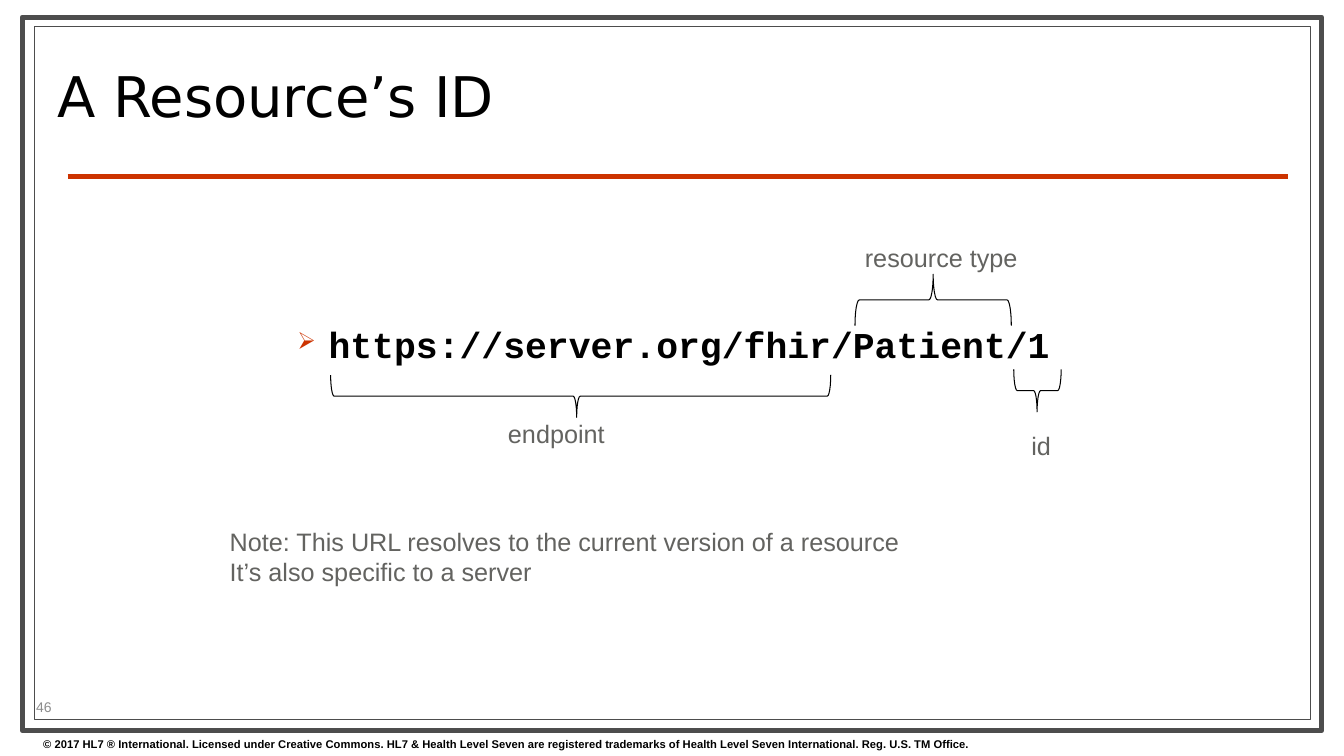
from lxml import etree
from pptx import Presentation
from pptx.dml.color import RGBColor
from pptx.enum.shapes import MSO_CONNECTOR, MSO_SHAPE
from pptx.enum.text import MSO_ANCHOR
from pptx.oxml.ns import qn
from pptx.util import Inches, Pt

RECT = MSO_SHAPE.RECTANGLE
BRACE = MSO_SHAPE.LEFT_BRACE
STRAIGHT = MSO_CONNECTOR.STRAIGHT
TOP, MIDDLE = MSO_ANCHOR.TOP, MSO_ANCHOR.MIDDLE

BLACK, WHITE, FRAME = "000000", "FFFFFF", "4D4D4D"
RED, LABEL, NUMBER = "CC3300", "636360", "8C8C8C"


def color(hex_value):
    return RGBColor.from_string(hex_value)


def add_outline(s, kind, box, line, width, fill=None):
    sp = s.shapes.add_shape(kind, *map(Inches, box))
    sp.shadow.inherit = False
    if fill:
        sp.fill.solid()
        sp.fill.fore_color.rgb = color(fill)
    else:
        sp.fill.background()
    sp.line.color.rgb = color(line)
    sp.line.width = Pt(width)
    return sp


def add_brace(s, box, rotation, tip):
    sp = add_outline(s, BRACE, box, BLACK, 0.75)
    sp.rotation = rotation
    sp.adjustments[0] = 0.083
    sp.adjustments[1] = tip


def add_rule(s, x1, x2, y):
    sp = s.shapes.add_connector(STRAIGHT, *map(Inches, (x1, y, x2, y)))
    sp.line.color.rgb = color(RED)
    sp.line.width = Pt(3)
    etree.SubElement(sp._element.spPr, qn("a:effectLst"))


def add_text(s, box, lines, size=18, hex_value=LABEL, font="Arial",
             bold=False, anchor=TOP, wrap=True):
    sp = s.shapes.add_textbox(*map(Inches, box))
    tf = sp.text_frame
    tf.word_wrap = wrap
    tf.vertical_anchor = anchor
    for i, line in enumerate(lines):
        p = tf.paragraphs[0] if i == 0 else tf.add_paragraph()
        r = p.add_run()
        r.text = line
        r.font.name = font
        r.font.size = Pt(size)
        r.font.bold = bold
        r.font.color.rgb = color(hex_value)
    return tf.paragraphs[0]


def add_bullet(p, char, hex_value, percent, left, hanging):
    pPr = p._p.get_or_add_pPr()
    pPr.set("marL", str(Inches(left)))
    pPr.set("indent", str(-Inches(hanging)))
    bu_clr = etree.SubElement(pPr, qn("a:buClr"))
    etree.SubElement(bu_clr, qn("a:srgbClr"), val=hex_value)
    etree.SubElement(pPr, qn("a:buSzPct"), val=str(percent * 1000))
    etree.SubElement(pPr, qn("a:buChar"), char=char)


def main():
    prs = Presentation()
    prs.slide_width, prs.slide_height = Inches(13.33), Inches(7.5)
    s = prs.slides.add_slide(prs.slide_layouts[6])

    # Double frame, rule and copyright line
    add_outline(s, RECT, (0.22, 0.17, 12.89, 7.08), FRAME, 3.5, WHITE)
    add_outline(s, RECT, (0.34, 0.26, 12.66, 6.88), FRAME, 0.75, WHITE)
    add_rule(s, 0.67, 12.77, 1.75)
    add_text(s, (0.33, 7.27, 12.9, 0.23),
             ["© 2017 HL7 ® International. Licensed under Creative Commons. "
              "HL7 & Health Level Seven are registered trademarks of "
              "Health Level Seven International. Reg. U.S. TM Office."],
             8, BLACK, bold=True)

    # Title
    p = add_text(s, (0.47, 0.36, 9.55, 1.29), ["A Resource’s ID"],
                 40, BLACK, "DejaVu Sans", anchor=MIDDLE)
    p.line_spacing = 0.8

    # Resource address
    p = add_text(s, (2.35, 3.16, 8.72, 0.5),
                 ["https://server.org/fhir/Patient/1"],
                 26, BLACK, "Courier New", bold=True, anchor=MIDDLE)
    add_bullet(p, "➢", RED, 65, 0.81, 0.31)

    # Braces and labels for the parts of the address
    add_brace(s, (5.55, 1.45, 0.42, 4.96), 270, 0.492)
    add_text(s, (4.94, 4.1, 1.17, 0.4), ["endpoint"], wrap=False)
    add_brace(s, (9, 2.2, 0.51, 1.55), 90, 0.5)
    add_text(s, (8.48, 2.35, 1.73, 0.4), ["resource type"], wrap=False)
    add_brace(s, (10.08, 3.64, 0.42, 0.47), 270, 0.492)
    add_text(s, (10.13, 4.22, 0.55, 0.4), ["id"])

    # Note and slide number
    add_text(s, (2.18, 5.17, 6.91, 0.71),
             ["Note: This URL resolves to the current version of a resource",
              "It’s also specific to a server"], wrap=False)
    add_text(s, (0.26, 6.89, 1.05, 0.24), ["46"], 10, NUMBER, anchor=MIDDLE)

    prs.save("out.pptx")


if __name__ == "__main__":
    main()
